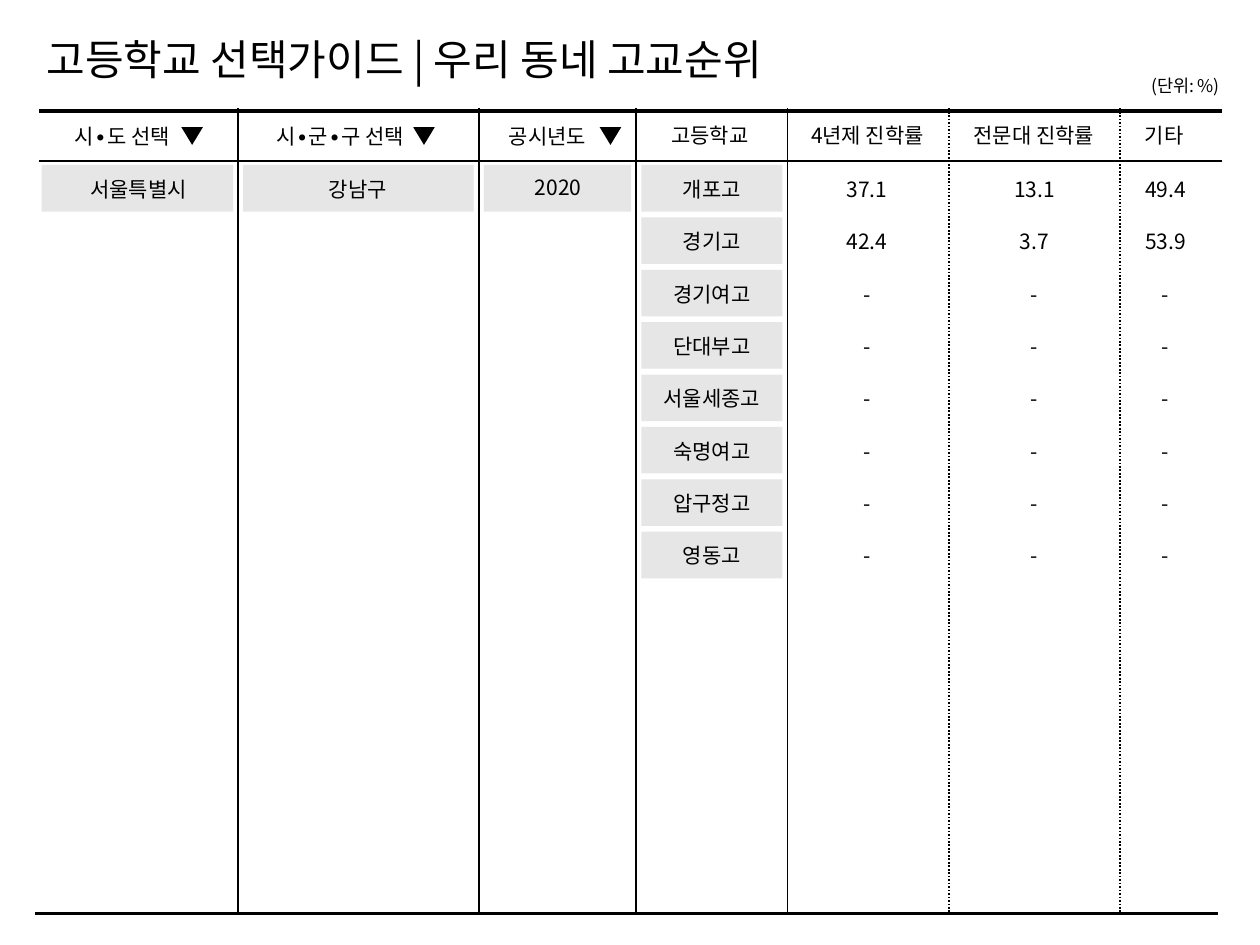
"""Build the high school ranking slide with its filter columns and rates."""
from lxml.etree import SubElement
from pptx import Presentation
from pptx.dml.color import RGBColor
from pptx.enum.dml import MSO_LINE
from pptx.enum.shapes import MSO_CONNECTOR, MSO_SHAPE
from pptx.enum.text import MSO_AUTO_SIZE, PP_ALIGN
from pptx.oxml.ns import qn
from pptx.util import Inches, Pt

COLORS = {"ink": "000000", "cell": "E7E6E6"}
FONT = "Noto Sans CJK KR"
EDGES = [0.29, 1.89, 3.8, 5.05, 6.25, 7.53, 8.89]
TOP, HEAD, BOTTOM = 0.88, 1.28, 7.25
ROW_TOP, ROW_STEP, ROW_H = 1.31, 0.4157, 0.37
PAD, TEXT_H = 0.04, 0.3

prs = Presentation()
prs.slide_width, prs.slide_height = Inches(10), Inches(7.5)
s = prs.slides.add_slide(prs.slide_layouts[6])


def add_text(text, x, y, w, h=TEXT_H, size=12, align=PP_ALIGN.CENTER):
    tf = s.shapes.add_textbox(Inches(x), Inches(y), Inches(w), Inches(h)).text_frame
    tf.word_wrap = True
    tf.auto_size = MSO_AUTO_SIZE.SHAPE_TO_FIT_TEXT
    p = tf.paragraphs[0]
    p.text = text
    p.alignment = align
    p.font.size = Pt(size)
    p.font.color.rgb = RGBColor.from_string(COLORS["ink"])
    p.font.name = FONT
    SubElement(p._p.pPr.find(qn("a:defRPr")), qn("a:ea"), typeface=FONT)


def add_block(kind, color, x, y, w, h):
    sp = s.shapes.add_shape(kind, Inches(x), Inches(y), Inches(w), Inches(h))
    sp.shadow.inherit = False
    sp.fill.solid()
    sp.fill.fore_color.rgb = RGBColor.from_string(COLORS[color])
    sp.line.fill.background()
    return sp


add_text("고등학교 선택가이드 | 우리 동네 고교순위", 0.27, 0.22, 6.61, 0.5, 24, PP_ALIGN.LEFT)
add_text("(단위: %)", 8.76, 0.55, 1.02, 0.27, 10, PP_ALIGN.RIGHT)

rules = [(0.31, TOP, 9.7, TOP, 2.25, None),
         (0.31, HEAD, 9.7, HEAD, 1, None),
         (0.28, BOTTOM, 9.67, BOTTOM, 2.25, None)]
for i, x in enumerate(EDGES[1:]):
    rules.append((x, 0.86, x, BOTTOM, 1, MSO_LINE.ROUND_DOT if i > 3 else None))
for x1, y1, x2, y2, width, dash in rules:
    line = s.shapes.add_connector(MSO_CONNECTOR.STRAIGHT, Inches(x1), Inches(y1),
                                  Inches(x2), Inches(y2))
    line.line.color.rgb = RGBColor.from_string(COLORS["ink"])
    line.line.width = Pt(width)
    if dash:
        line.line.dash_style = dash
    SubElement(line._element.spPr, qn("a:effectLst"))

headers = [("시∙도 선택", 0.41, 0.93, 1.12), ("시∙군∙구 선택", 1.98, 0.93, 1.44),
           ("공시년도", 3.88, 0.93, 0.93), ("고등학교", 5.17, 0.92, 0.93),
           ("4년제 진학률", 6.28, 0.92, 1.21), ("전문대 진학률", 7.6, 0.92, 1.21),
           ("기타", 8.82, 0.92, 0.84)]
for header in headers:
    add_text(*header)
for x in (1.44, 3.28, 4.76):
    add_block(MSO_SHAPE.ISOSCELES_TRIANGLE, "ink", x, 1.01, 0.17, 0.14).rotation = 180

filters = [("서울특별시", 0.54, 1.35, 1.12), ("강남구", 2.12, 1.35, 1.44),
           ("2020", 3.87, 1.34, 1.12)]
for left, right, choice in zip(EDGES, EDGES[1:], filters):
    add_block(MSO_SHAPE.RECTANGLE, "cell", left + PAD, ROW_TOP, right - left - 2 * PAD, ROW_H)
    add_text(*choice)

schools = [("개포고", "37.1", "13.1", "49.4"), ("경기고", "42.4", "3.7", "53.9")]
schools += [(name, "-", "-", "-") for name in
            ("경기여고", "단대부고", "서울세종고", "숙명여고", "압구정고", "영동고")]
columns = [(5.14, 1.02), (6.37, 1.02), (7.7, 1.02), (8.92, 0.66)]
for i, school in enumerate(schools):
    y = ROW_TOP + i * ROW_STEP
    add_block(MSO_SHAPE.RECTANGLE, "cell", EDGES[3] + PAD, y,
              EDGES[4] - EDGES[3] - 2 * PAD, ROW_H)
    for value, (x, w) in zip(school, columns):
        add_text(value, x, y + PAD, w)

prs.save("out.pptx")
